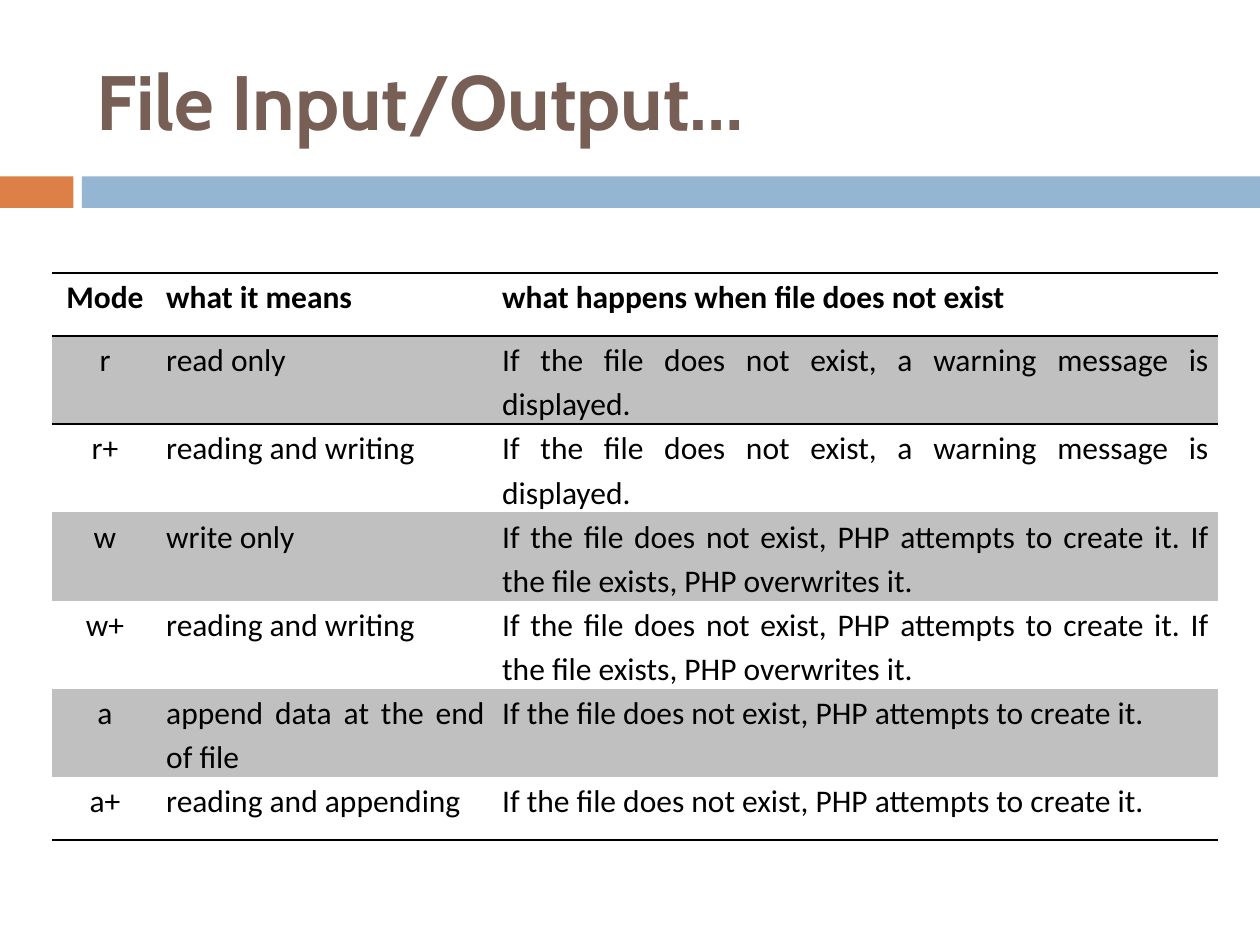
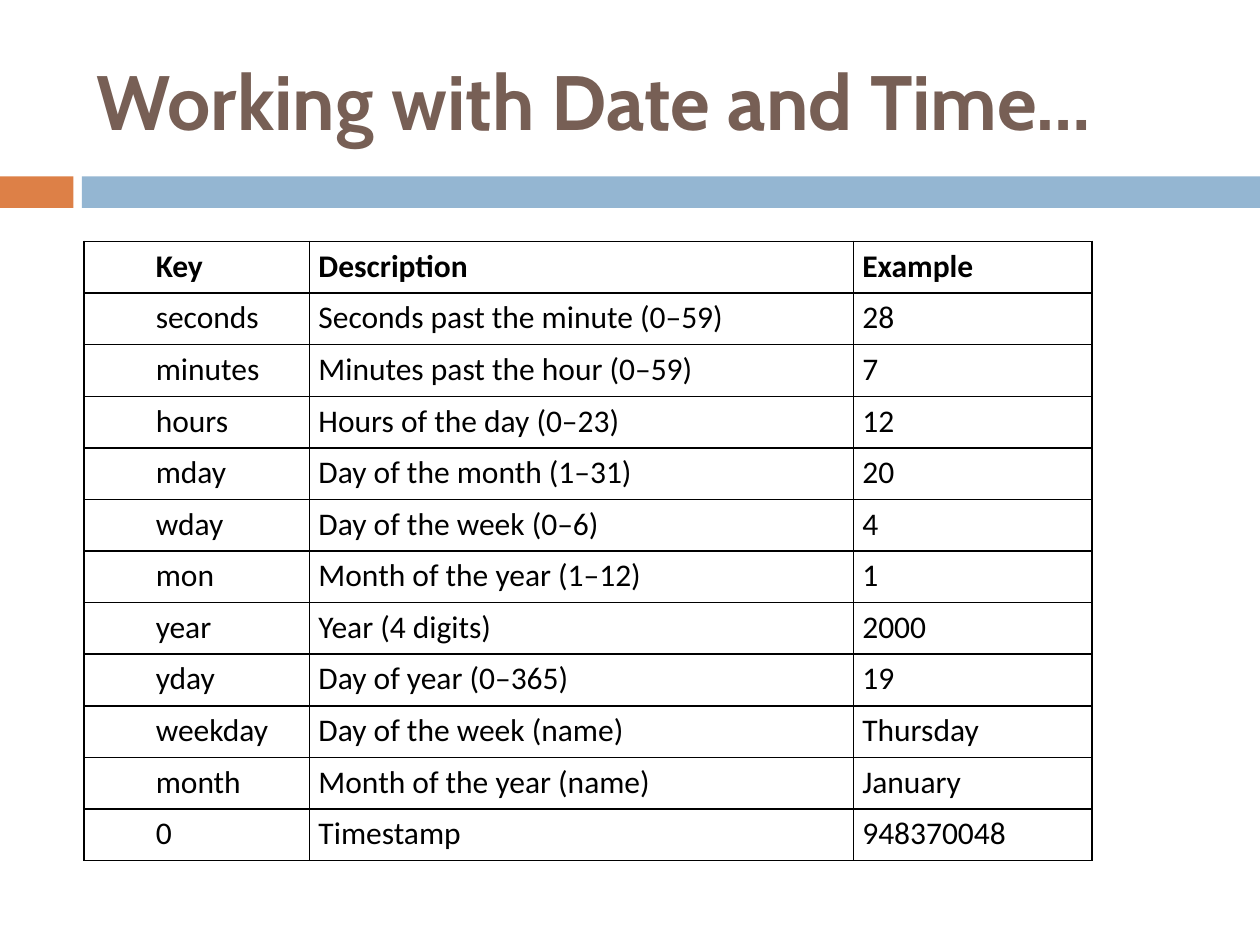
from lxml import etree
from pptx import Presentation
from pptx.dml.color import RGBColor
from pptx.enum.shapes import MSO_SHAPE
from pptx.enum.text import MSO_ANCHOR, PP_ALIGN
from pptx.oxml.ns import qn
from pptx.util import Inches, Pt

RECTANGLE = MSO_SHAPE.RECTANGLE
MIDDLE = MSO_ANCHOR.MIDDLE
CENTER, JUSTIFY = PP_ALIGN.CENTER, PP_ALIGN.JUSTIFY

COLORS = {
    "title": "775F55",
    "accent": "DD8047",
    "band": "94B6D2",
    "text": "000000",
    "border": "000000",
    "stripe": "C0C0C0",
}
TITLE_FONT = {"name": "Cabin", "size": Pt(44), "bold": True}
BODY_FONT = {"name": "Calibri", "size": Pt(18), "bold": False}
HEADER_FONT = {**BODY_FONT, "bold": True}
CELL_MARGINS = {
    "margin_left": Inches(0.07),
    "margin_right": Inches(0.07),
    "margin_top": 0,
    "margin_bottom": 0,
}
PLAIN_TABLE_STYLE = "{2D5ABB26-0587-4C30-8999-92F81FD0307C}"
ALL_SIDES = "LRTB"
GRID_COLUMNS, GRID_ROWS = 120, 90

MISSING_WARNS = "If the file does not exist, a warning message is displayed."
MISSING_CREATES = "If the file does not exist, PHP attempts to create it."
EXISTING_OVERWRITTEN = f"{MISSING_CREATES} If the file exists, PHP overwrites it."

FILE_MODES = [
    ("Mode", "what it means", "what happens when file does not exist"),
    ("r", "read only", MISSING_WARNS),
    ("r+", "reading and writing", MISSING_WARNS),
    ("w", "write only", EXISTING_OVERWRITTEN),
    ("w+", "reading and writing", EXISTING_OVERWRITTEN),
    ("a", "append data at the end of file", MISSING_CREATES),
    ("a+", "reading and appending", MISSING_CREATES),
]
DATE_KEYS = [
    ("Key", "Description", "Example"),
    ("seconds", "Seconds past the minute (0–59)", "28"),
    ("minutes", "Minutes past the hour (0–59)", "7"),
    ("hours", "Hours of the day (0–23)", "12"),
    ("mday", "Day of the month (1–31)", "20"),
    ("wday", "Day of the week (0–6)", "4"),
    ("mon", "Month of the year (1–12)", "1"),
    ("year", "Year (4 digits)", "2000"),
    ("yday", "Day of year (0–365)", "19"),
    ("weekday", "Day of the week (name)", "Thursday"),
    ("month", "Month of the year (name)", "January"),
    ("0", "Timestamp", "948370048"),
]


def apply_format(target, values):
    for name, value in values.items():
        setattr(target, name, value)


def color(name):
    return RGBColor.from_string(COLORS[name])


class Deck:
    def __init__(self):
        self.presentation = Presentation()
        self.presentation.slide_width = Inches(10)
        self.presentation.slide_height = Inches(7.5)
        self.slide = None

    def across(self, columns):
        return round(self.presentation.slide_width * columns / GRID_COLUMNS)

    def down(self, rows):
        return round(self.presentation.slide_height * rows / GRID_ROWS)

    def area(self, left, top, width, height):
        return self.across(left), self.down(top), self.across(width), self.down(height)

    def add_slide(self, title):
        self.slide = self.presentation.slides.add_slide(
            self.presentation.slide_layouts[6]
        )
        self.add_band(0, 7, "accent")
        self.add_band(7.8, GRID_COLUMNS - 7.8, "band")
        self.add_title(title)

    def add_band(self, left, width, fill):
        shape = self.slide.shapes.add_shape(RECTANGLE, *self.area(left, 16.8, width, 3))
        shape.shadow.inherit = False
        shape.fill.solid()
        shape.fill.fore_color.rgb = color(fill)
        shape.line.fill.background()

    def add_title(self, text):
        frame = self.slide.shapes.add_textbox(*self.area(8, 3, 107, 13)).text_frame
        apply_format(frame, {"word_wrap": True, "vertical_anchor": MIDDLE})
        self.add_text(frame.paragraphs[0], text, TITLE_FONT, "title")

    def add_text(self, paragraph, text, font, font_color):
        run = paragraph.add_run()
        run.text = text
        apply_format(run.font, font)
        run.font.color.rgb = color(font_color)

    def add_table(self, records, left, top, widths, heights):
        table = self.slide.shapes.add_table(
            len(records), len(widths),
            *self.area(left, top, sum(widths), sum(heights)),
        ).table
        apply_format(table, {"first_row": False, "horz_banding": False})
        table._tbl.tblPr.find(qn("a:tableStyleId")).text = PLAIN_TABLE_STYLE
        for column, width in zip(table.columns, widths):
            column.width = self.across(width)
        for row, height in zip(table.rows, heights):
            row.height = self.down(height)
        for row_index, record in enumerate(records):
            font = BODY_FONT if row_index else HEADER_FONT
            for cell, text in zip(table.rows[row_index].cells, record):
                apply_format(cell, CELL_MARGINS)
                cell.fill.background()
                paragraph = cell.text_frame.paragraphs[0]
                apply_format(paragraph, {"alignment": JUSTIFY, "line_spacing": 1.15})
                self.add_text(paragraph, text, font, "text")
        return table

    def border_row(self, row, sides):
        for cell in row.cells:
            properties = cell._tc.get_or_add_tcPr()
            for position, side in enumerate(sides):
                line = etree.Element(qn(f"a:ln{side}"), w=str(Pt(1)))
                fill = etree.SubElement(line, qn("a:solidFill"))
                etree.SubElement(fill, qn("a:srgbClr"), val=COLORS["border"])
                properties.insert(position, line)

    def stripe_row(self, row):
        for cell in row.cells:
            cell.fill.solid()
            cell.fill.fore_color.rgb = color("stripe")

    def add_file_modes(self):
        self.add_slide("File Input/Output…")
        heights = [6] + [8.4] * (len(FILE_MODES) - 2) + [6]
        table = self.add_table(FILE_MODES, 5, 26, [10, 32, 69], heights)
        rows = list(table.rows)
        for row in rows:
            row.cells[0].text_frame.paragraphs[0].alignment = CENTER
        for row in rows[1::2]:
            self.stripe_row(row)
        for row, sides in ((rows[0], "TB"), (rows[1], "T"), (rows[-1], "B")):
            self.border_row(row, sides)

    def add_date_keys(self):
        self.add_slide("Working with Date and Time…")
        heights = [59 / len(DATE_KEYS)] * len(DATE_KEYS)
        table = self.add_table(DATE_KEYS, 8, 23, [21.5, 51.8, 22.7], heights)
        for row in table.rows:
            self.border_row(row, ALL_SIDES)
            paragraph = row.cells[0].text_frame.paragraphs[0]
            paragraph.level = 1
            properties = paragraph._p.get_or_add_pPr()
            properties.set("marL", str(self.across(6)))
            properties.set("indent", "0")


def main():
    deck = Deck()
    deck.add_file_modes()
    deck.add_date_keys()
    deck.presentation.save("out.pptx")


if __name__ == "__main__":
    main()
